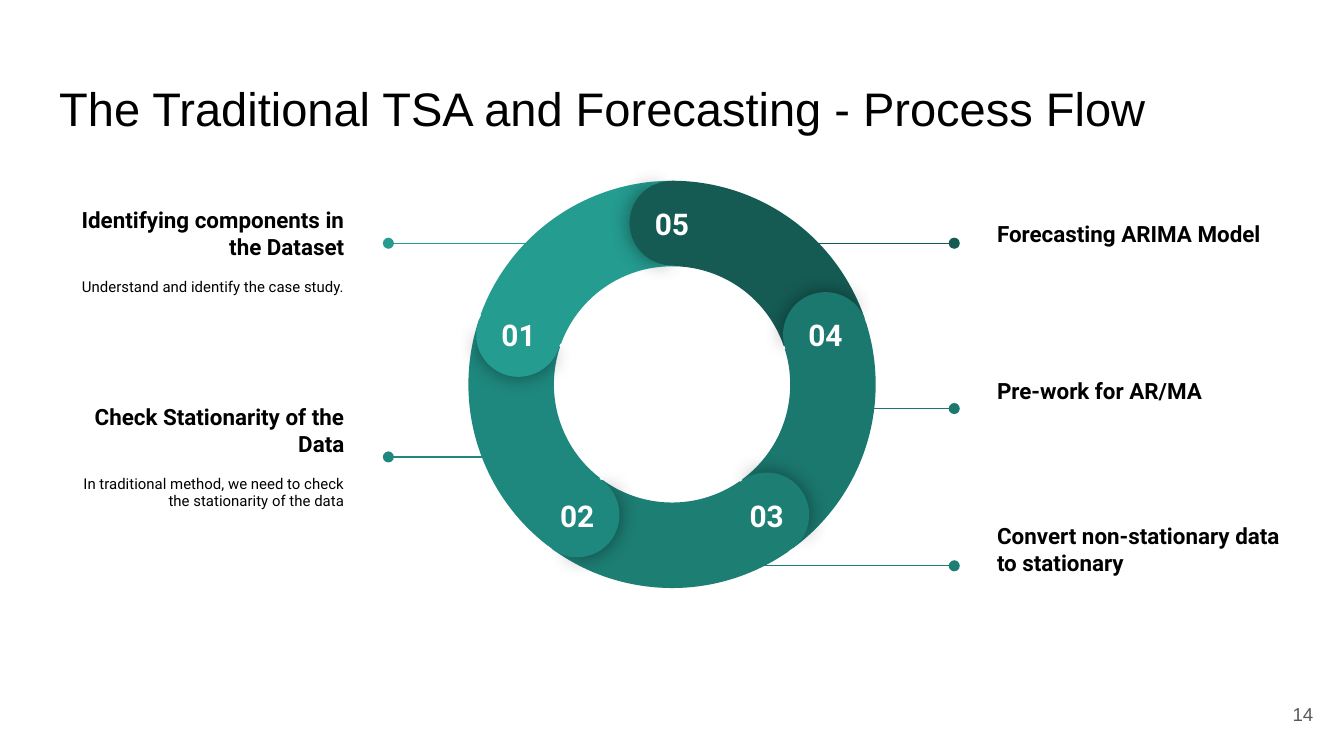
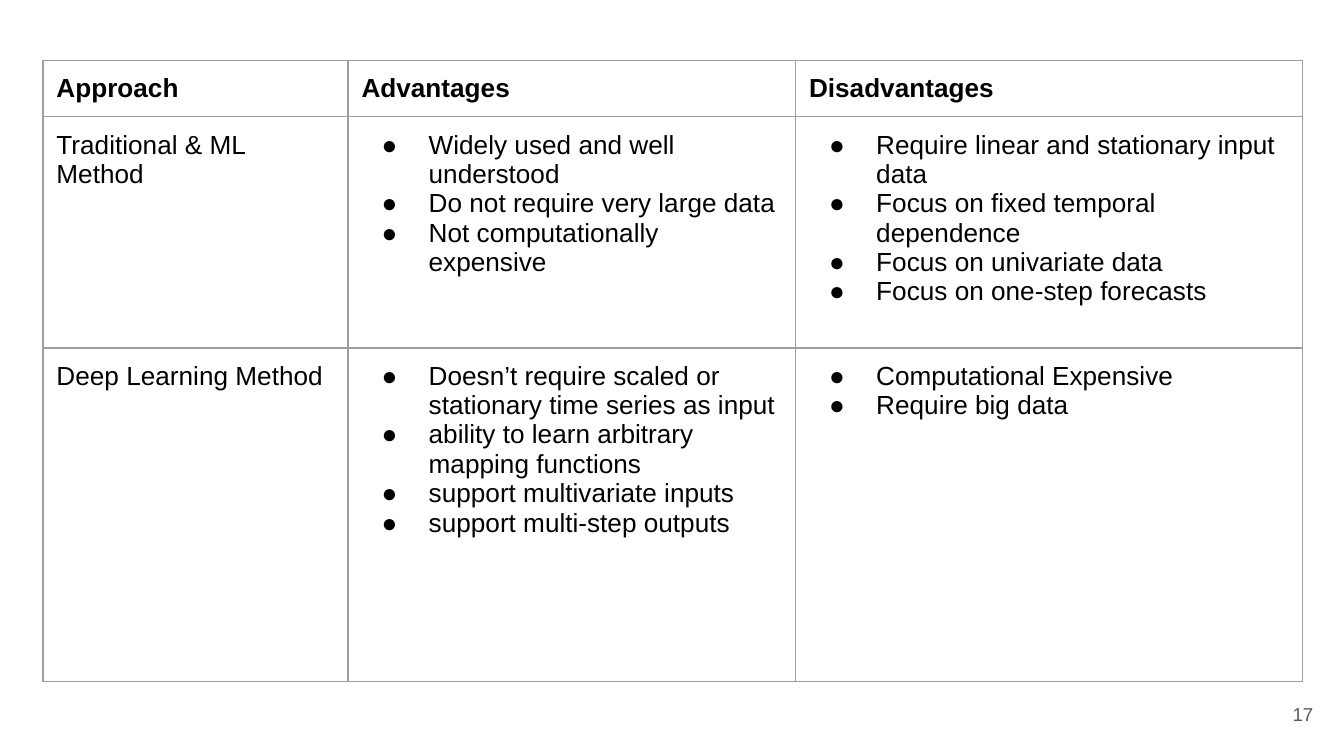
from math import cos, radians, sin

from lxml.etree import SubElement
from pptx import Presentation
from pptx.dml.color import RGBColor
from pptx.enum.shapes import MSO_CONNECTOR, MSO_SHAPE
from pptx.enum.text import MSO_ANCHOR, PP_ALIGN
from pptx.oxml.ns import qn
from pptx.util import Inches, Pt

# Shared look
W, H = 10, 10 * 9 / 16
BLACK = RGBColor(0x00, 0x00, 0x00)
WHITE = RGBColor(0xFF, 0xFF, 0xFF)
GREY = RGBColor(0x59, 0x59, 0x59)
RULE = RGBColor(0x9E, 0x9E, 0x9E)
TEALS = {
    "01": RGBColor(0x24, 0x9C, 0x90),
    "02": RGBColor(0x1F, 0x88, 0x7E),
    "03": RGBColor(0x1D, 0x7E, 0x74),
    "04": RGBColor(0x1B, 0x78, 0x6E),
    "05": RGBColor(0x15, 0x5B, 0x54),
}
TITLE = dict(name="Arial", size=Pt(25.2), color=BLACK)
NUMBER = dict(name="Arial", size=Pt(10), color=GREY)
HEADING = dict(name="Roboto", size=Pt(12), color=BLACK, bold=True)
DETAIL = dict(name="Roboto", size=Pt(8), color=BLACK, bold=False)
STEP = dict(name="Roboto", size=Pt(16), color=WHITE, bold=True)
HEAD_CELL = dict(name="Arial", size=Pt(14), color=BLACK, bold=True)
BODY_CELL = dict(HEAD_CELL, bold=False)

# Process flow: step, side, box top, line start x, line y, heading, detail
FLOW_TITLE = "The Traditional TSA and Forecasting - Process Flow"
CALLOUTS = [
    ("01", "left", 1.36, 4.23, 1.81, "Identifying components in the Dataset",
     "Understand and identify the case study."),
    ("02", "left", 2.89, 3.91, 3.4, "Check Stationarity of the Data",
     "In traditional method, we need to check the stationarity of the data"),
    ("03", "right", 3.71, 5.09, 4.21, "Convert non-stationary data to stationary", None),
    ("05", "right", 1.36, 5.7, 1.81, "Forecasting ARIMA Model", None),
    ("04", "right", 2.53, 6.14, 3.04, "Pre-work for AR/MA", None),
]
# Side: box left, dot x, alignment
SIDES = {"left": (0.34, 2.89, PP_ALIGN.RIGHT), "right": (7.32, 7.1, PP_ALIGN.LEFT)}

# Ring: centre, outer size, cap size, and the radius on which the caps sit
CX, CY, RING, CAP, MID = 5, 2.86, 3.03, 0.63, 1.2
CLOCKWISE = ["05", "04", "03", "02", "01"]
STACK = [("arc", "02"), ("arc", "04"), ("arc", "05"), ("cap", "04"), ("arc", "03"),
         ("cap", "02"), ("arc", "01"), ("cap", "05"), ("cap", "03"), ("cap", "01")]
ARC_ADJ = (126.03, 168.68, 0.21)
SHADED_ADJ, COVER_ADJ = (61.9, 149.96), (40.28, 171.84)

# Comparison table: a list in a cell becomes bullets
COLUMNS, ROWS = (2.27, 3.33, 3.77), (0.42, 1.72, 2.48)
TABLE = [
    ("Approach", "Advantages", "Disadvantages"),
    ("Traditional & ML Method",
     ["Widely used and well understood", "Do not require very large data",
      "Not computationally expensive"],
     ["Require linear and stationary input data", "Focus on fixed temporal dependence",
      "Focus on univariate data", "Focus on one-step forecasts"]),
    ("Deep Learning Method",
     ["Doesn’t require scaled or stationary time series as input",
      "ability to learn arbitrary mapping functions",
      "support multivariate inputs", "support multi-step outputs"],
     ["Computational Expensive", "Require big data"]),
]


def add_xml(parent, tag, **attrs):
    return SubElement(parent, qn(tag), {k: str(v) for k, v in attrs.items()})


def add_run(p, text, style):
    r = p.add_run()
    r.text = text
    for key, value in style.items():
        if key == "color":
            r.font.color.rgb = value
        else:
            setattr(r.font, key, value)


def set_frame(tf, anchor, bottom=0.1):
    frame = dict(word_wrap=True, vertical_anchor=anchor, margin_left=Inches(0.1),
                 margin_right=Inches(0.1), margin_top=Inches(0.1),
                 margin_bottom=Inches(bottom))
    for key, value in frame.items():
        setattr(tf, key, value)


def add_text(s, box, lines, align, anchor=MSO_ANCHOR.MIDDLE, bottom=0.1, gap=0):
    """Write (text, style) lines in a box, with a gap in points between them."""
    tf = s.shapes.add_textbox(*map(Inches, box)).text_frame
    set_frame(tf, anchor, bottom)
    for i, (text, style) in enumerate(lines):
        p = tf.add_paragraph() if i else tf.paragraphs[0]
        p.alignment = align
        if i:
            p.space_before = Pt(gap)
        add_run(p, text, style)


def add_page_number(s, number):
    add_text(s, (W - 0.73, 5.1, 0.6, 0.43), [(number, NUMBER)], PP_ALIGN.RIGHT)


def add_callout(s, step, side, top, start, y, heading, detail):
    left, dot, align = SIDES[side]
    line = s.shapes.add_connector(MSO_CONNECTOR.STRAIGHT, *map(Inches, (start, y, dot, y)))
    line.line.color.rgb = TEALS[step]
    line.line.width = Pt(0.75)
    add_xml(line.line._get_or_add_ln(), "a:tailEnd", type="oval")
    add_xml(line._element.spPr, "a:effectLst")
    lines = [(heading, HEADING)] + ([(detail, DETAIL)] if detail else [])
    # A heading without detail is raised by two detail lines
    add_text(s, (left, top, 2.32, 1.01), lines, align,
             bottom=0.1 if detail else 0.36, gap=9.4)


def add_ring_part(s, kind, x, y, size, rotation, adjustments, color, shadow=False):
    sp = s.shapes.add_shape(kind, *map(Inches, (x - size / 2, y - size / 2, size, size)))
    sp.rotation = rotation % 360
    for i, value in enumerate(adjustments):
        sp.adjustments[i] = value
    sp.fill.solid()
    sp.fill.fore_color.rgb = color
    sp.line.fill.background()
    sp.shadow.inherit = False
    if shadow:
        effects = sp._element.spPr.find(qn("a:effectLst"))
        outer = add_xml(effects, "a:outerShdw", blurRad=Pt(11.2), dist=0, dir=0,
                        algn="ctr", rotWithShape=0)
        add_xml(add_xml(outer, "a:srgbClr", val="000000"), "a:alpha", val=43000)


def cap_centre(step):
    angle = radians(72 * CLOCKWISE.index(step))
    return CX + MID * sin(angle), CY - MID * cos(angle)


def add_ring(s):
    for part, step in STACK:
        rotation = 60 + 72.5 * CLOCKWISE.index(step)
        color = TEALS[step]
        if part == "arc":
            add_ring_part(s, MSO_SHAPE.BLOCK_ARC, CX, CY, RING, rotation, ARC_ADJ, color)
            continue
        # A shaded half shows the overlap, a plain half covers its inner side
        x, y = cap_centre(step)
        turn = rotation - 65
        add_ring_part(s, MSO_SHAPE.PIE, x, y, CAP, turn, SHADED_ADJ, color, shadow=True)
        add_ring_part(s, MSO_SHAPE.PIE, x, y, CAP, turn + 179.3, COVER_ADJ, color)
    for step in TEALS:
        x, y = cap_centre(step)
        add_text(s, (x - 0.28, y - 0.23, 0.56, 0.29), [(step, STEP)], PP_ALIGN.CENTER,
                 MSO_ANCHOR.TOP)


def add_bullet(p):
    pPr = p._p.get_or_add_pPr()
    pPr.set("marL", str(Inches(0.5)))
    pPr.set("indent", str(Inches(-0.35)))
    add_xml(add_xml(pPr, "a:buClr"), "a:srgbClr", val=BLACK)
    add_xml(pPr, "a:buFont", typeface="Arial")
    add_xml(pPr, "a:buChar", char="●")


def fill_cell(cell, content, style):
    tcPr = cell._tc.get_or_add_tcPr()
    for side in ("L", "R", "T", "B"):
        ln = add_xml(tcPr, f"a:ln{side}", w=Pt(0.75))
        add_xml(add_xml(ln, "a:solidFill"), "a:srgbClr", val=RULE)
    cell.fill.background()
    for side in ("left", "right", "top", "bottom"):
        setattr(cell, f"margin_{side}", Inches(0.1))
    bulleted = isinstance(content, list)
    tf = cell.text_frame
    for i, text in enumerate(content if bulleted else [content]):
        p = tf.add_paragraph() if i else tf.paragraphs[0]
        if bulleted:
            add_bullet(p)
        add_run(p, text, style)


def build_flow(prs):
    s = prs.slides.add_slide(prs.slide_layouts[5])
    title = s.shapes.title
    title.left, title.top, title.width, title.height = map(Inches, (0.34, 0.49, W - 0.68, 0.63))
    set_frame(title.text_frame, MSO_ANCHOR.TOP)
    p = title.text_frame.paragraphs[0]
    p.alignment = PP_ALIGN.LEFT
    add_run(p, FLOW_TITLE, TITLE)
    add_page_number(s, "14")
    for callout in CALLOUTS:
        add_callout(s, *callout)
    add_ring(s)


def build_comparison(prs):
    s = prs.slides.add_slide(prs.slide_layouts[6])
    box = map(Inches, (0.32, 0.45, sum(COLUMNS), sum(ROWS)))
    table = s.shapes.add_table(len(ROWS), len(COLUMNS), *box).table
    table.first_row = table.horz_banding = False
    for column, width in zip(table.columns, COLUMNS):
        column.width = Inches(width)
    for i, (row, height) in enumerate(zip(table.rows, ROWS)):
        row.height = Inches(height)
        for cell, content in zip(row.cells, TABLE[i]):
            fill_cell(cell, content, BODY_CELL if i else HEAD_CELL)
    add_page_number(s, "17")


def main():
    prs = Presentation()
    prs.slide_width, prs.slide_height = Inches(W), Inches(H)
    build_flow(prs)
    build_comparison(prs)
    prs.save("out.pptx")


if __name__ == "__main__":
    main()
